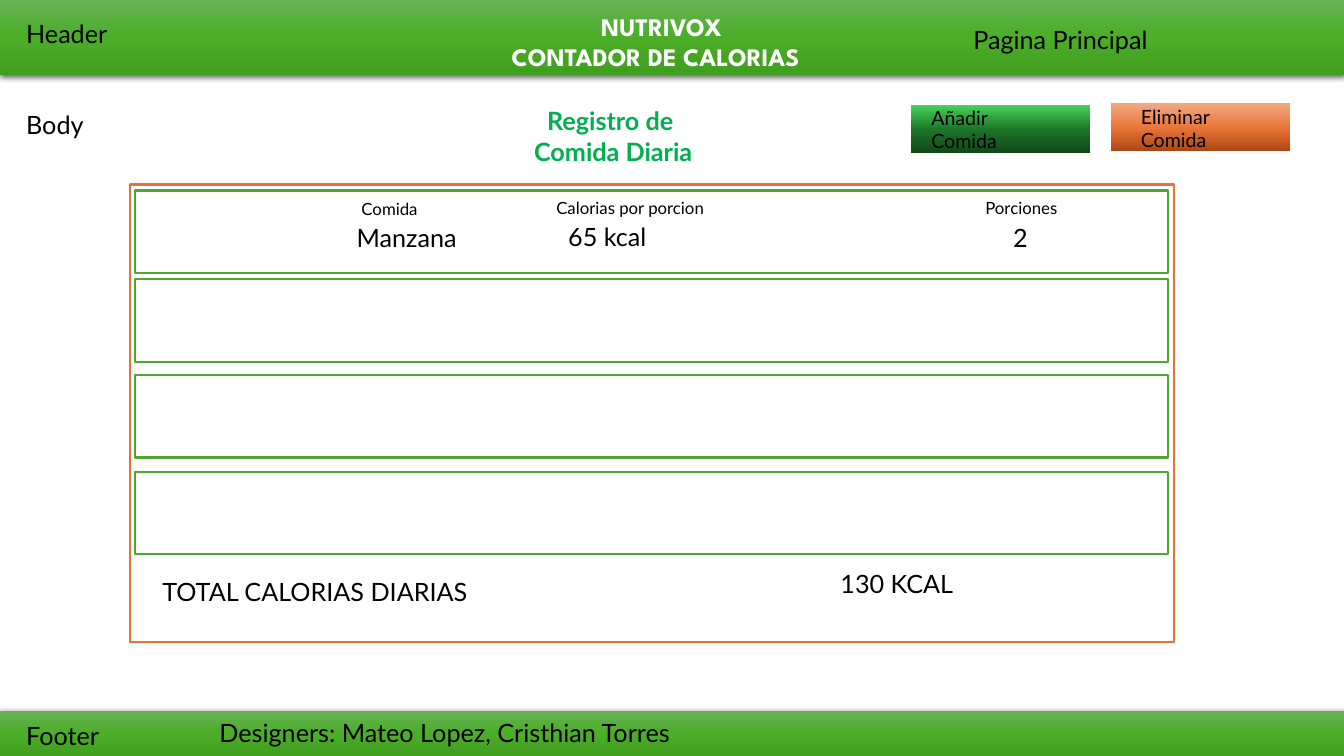
"""Build the daily calorie counter page mock-up as one slide."""
from copy import deepcopy
from dataclasses import dataclass

from lxml.etree import SubElement
from pptx import Presentation
from pptx.dml.color import RGBColor as Rgb
from pptx.enum.shapes import MSO_SHAPE as Kind
from pptx.enum.text import MSO_AUTO_SIZE as Auto, PP_ALIGN as Align
from pptx.oxml.ns import qn
from pptx.util import Cm, Pt

WIDE, HIGH = 33.87, 19.05
HUES = {
    "white": "FFFFFF", "black": "000000", "title": "00B050",
    "frame": "E97132", "row": "4EA72E",
}
FADES = {
    "bar": ((0, "66B354"), (0.5, "4BAD28"), (1, "409F1E")),
    "add": ((0, "47D45A"), (0.52, "1B7427"), (1, "114818")),
    "drop": ((0, "F2AA84"), (0.52, "EA7538"), (1, "AB4712")),
}


@dataclass
class Box:
    x: float
    y: float
    w: float
    h: float
    line: str = ""
    fade: str = ""
    shade: bool = False


@dataclass
class Label:
    x: float
    y: float
    w: float
    text: str
    h: float = 1.02
    size: int = 18
    hue: str = "black"
    font: str = "Lato"
    bold: bool = False
    mid: bool = False
    dent: float = 0


def paint(shape, fade: str) -> None:
    fill = shape.fill
    fill.gradient()
    fill.gradient_angle = 270
    stops = shape._element.spPr.find(".//" + qn("a:gsLst"))
    stops.insert(1, deepcopy(stops[0]))
    for stop, (place, hue) in zip(fill.gradient_stops, FADES[fade]):
        stop.position = place
        stop.color.rgb = Rgb.from_string(hue)


def cast(shape) -> None:
    effects = shape._element.spPr.find(qn("a:effectLst"))
    outer = SubElement(effects, qn("a:outerShdw"), blurRad=str(Pt(4.5)),
                       dist=str(Pt(1.5)), dir="5400000", algn="ctr", rotWithShape="0")
    tint = SubElement(outer, qn("a:srgbClr"), val=HUES["black"])
    SubElement(tint, qn("a:alpha"), val="63000")


def draw(slide, box: Box) -> None:
    shape = slide.shapes.add_shape(
        Kind.RECTANGLE, Cm(box.x), Cm(box.y), Cm(box.w), Cm(box.h))
    shape.shadow.inherit = False
    if box.fade:
        paint(shape, box.fade)
    else:
        shape.fill.solid()
        shape.fill.fore_color.rgb = Rgb.from_string(HUES["white"])
    if box.line:
        shape.line.color.rgb = Rgb.from_string(HUES[box.line])
        shape.line.width = Pt(1.5)
    else:
        shape.line.fill.background()
    if box.shade:
        cast(shape)


def write(slide, label: Label) -> None:
    frame = slide.shapes.add_textbox(
        Cm(label.x), Cm(label.y), Cm(label.w), Cm(label.h)).text_frame
    frame.word_wrap = True
    frame.auto_size = Auto.SHAPE_TO_FIT_TEXT
    frame.text = label.text
    for para in frame.paragraphs:
        para.alignment = Align.CENTER if label.mid else Align.LEFT
        para.font.name = label.font
        para.font.size = Pt(label.size)
        para.font.bold = label.bold
        para.font.color.rgb = Rgb.from_string(HUES[label.hue])
    if label.dent:
        frame.paragraphs[0]._p.get_or_add_pPr().set("marL", str(Cm(label.dent)))


BOXES = [
    Box(0, 0, WIDE, 1.88, fade="bar", shade=True),
    Box(3.28, 4.65, 26.31, 11.53, line="frame"),
    *(Box(3.4, top, 26.04, 2.08, line="row") for top in (4.8, 7.04, 9.45, 11.89)),
    Box(27.99, 2.59, 4.52, 1.22, fade="drop"),
    Box(22.96, 2.64, 4.52, 1.22, fade="add"),
    Box(0, 17.91, WIDE, 1.14, fade="bar", shade=True),
]
LABELS = [
    Label(-0.41, 0.15, WIDE, "NUTRIVOX\nCONTADOR DE CALORIAS", 1.8, hue="white",
          font="League Spartan", bold=True, mid=True, dent=0.3),
    Label(0.41, 0.33, 3.43, "Header"),
    Label(24.28, 0.48, 7.39, "Pagina Principal"),
    Label(0.41, 2.64, 4.42, "Body"),
    Label(10.44, 2.54, 10.03, "Registro de \nComida Diaria", 1.8, hue="title",
          bold=True, mid=True),
    Label(23.22, 2.54, 4.52, "Añadir\nComida", 1.45, 14),
    Label(28.5, 2.51, 4.52, "Eliminar\nComida", 1.45, 14),
    Label(8.86, 4.88, 6.32, "Comida", 0.76, 12),
    Label(8.74, 5.49, 3.33, "Manzana"),
    Label(13.77, 4.85, 6.32, "Calorias por porcion", 0.76, 12),
    Label(14.07, 5.44, 3.33, "65 kcal"),
    Label(22.58, 4.85, 6.32, "Porciones", 0.76, 12, mid=True),
    Label(22.83, 5.49, 5.77, "2", mid=True),
    Label(3.84, 14.4, 13.11, "TOTAL CALORIAS DIARIAS"),
    Label(20.93, 14.2, 8.05, "130 KCAL"),
    Label(0.41, 18.03, 3.86, "Footer"),
    Label(5.28, 17.96, 24.79, "Designers: Mateo Lopez, Cristhian Torres"),
]


def main() -> None:
    deck = Presentation()
    deck.slide_width, deck.slide_height = Cm(WIDE), Cm(HIGH)
    slide = deck.slides.add_slide(deck.slide_layouts[6])
    for box in BOXES:
        draw(slide, box)
    for label in LABELS:
        write(slide, label)
    deck.save("out.pptx")


if __name__ == "__main__":
    main()
